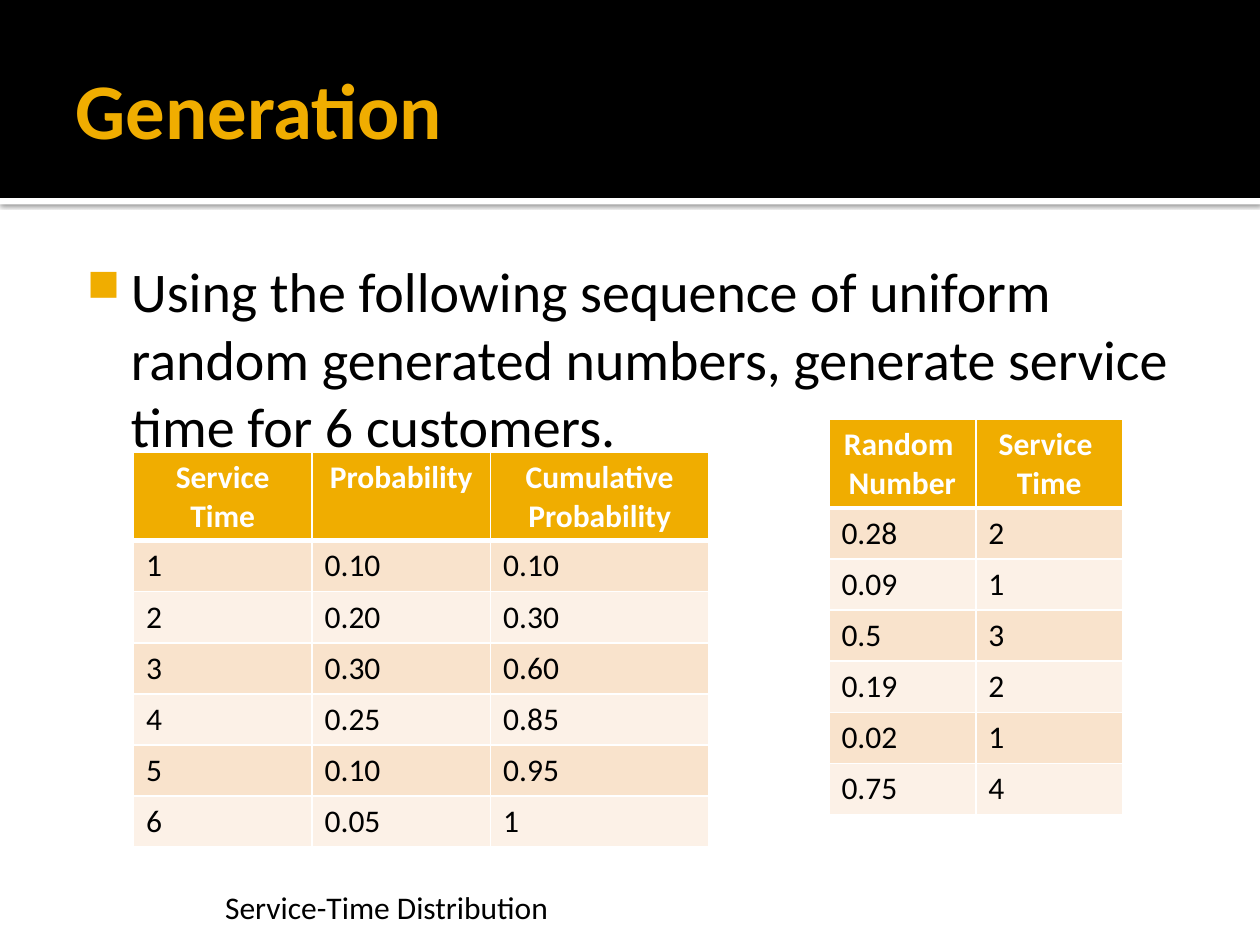
from lxml import etree
from pptx import Presentation
from pptx.dml.color import RGBColor
from pptx.enum import shapes, text
from pptx.oxml import ns, parse_xml
from pptx.util import Cm, Pt

COLORS = dict(gold="F0AD00", black="000000", white="FFFFFF",
              dark_band="F9E3CC", light_band="FCF1E7")
TITLE = "Generation"
BODY = ("Using the following sequence of uniform random generated numbers, "
        "generate service time for 6 customers.")
CAPTION = "Service-Time Distribution"
TABLES = [
    dict(left=16.71, top=8.46, widths=[2.96, 2.96], rows=[
        ("Random \nNumber", "Service \nTime"),
        ("0.28", "2"), ("0.09", "1"), ("0.5", "3"),
        ("0.19", "2"), ("0.02", "1"), ("0.75", "4")]),
    dict(left=2.69, top=9.12, widths=[3.6, 3.6, 4.4], rows=[
        ("Service\nTime", "Probability", "Cumulative\nProbability"),
        ("1", "0.10", "0.10"), ("2", "0.20", "0.30"), ("3", "0.30", "0.60"),
        ("4", "0.25", "0.85"), ("5", "0.10", "0.95"), ("6", "0.05", "1")]),
]
HEADER_HEIGHT, ROW_HEIGHT = 1.75, 1.03


def rgb(name):
    return RGBColor.from_string(COLORS[name])


def write(tf, content, size=18, color="black", bold=False, align=None):
    for i, line in enumerate(content.split("\n")):
        p = tf.add_paragraph() if i else tf.paragraphs[0]
        p.alignment = align
        r = p.add_run()
        r.text = line
        r.font.name, r.font.size, r.font.bold = "Calibri", Pt(size), bold
        r.font.color.rgb = rgb(color)


def add_box(left, top, width, height, margins=(0.25, 0.13, 0.25, 0.13)):
    tf = s.shapes.add_textbox(Cm(left), Cm(top), Cm(width), Cm(height)).text_frame
    tf.word_wrap = True
    tf.margin_left, tf.margin_top, tf.margin_right, tf.margin_bottom = map(Cm, margins)
    return tf


def add_band(top, height, color):
    sp = s.shapes.add_shape(shapes.MSO_SHAPE.RECTANGLE, 0, Cm(top), prs.slide_width, Cm(height))
    sp.shadow.inherit = False
    sp.fill.solid()
    sp.fill.fore_color.rgb = rgb(color)
    sp.line.fill.background()
    return sp


def add_shadow(sp):
    effects = sp._element.spPr.find(ns.qn("a:effectLst"))
    effects.append(parse_xml(
        f'<a:outerShdw {ns.nsdecls("a")} blurRad="{Pt(2.5)}" dist="{Pt(0.8)}" dir="5400000" '
        f'algn="tl" rotWithShape="0"><a:srgbClr val="{COLORS["black"]}">'
        '<a:alpha val="60000"/></a:srgbClr></a:outerShdw>'))


def add_bullet(p):
    pPr = p._p.get_or_add_pPr()
    pPr.set("marL", str(Cm(1.22)))
    pPr.set("indent", str(-Cm(0.89)))
    color = etree.SubElement(pPr, ns.qn("a:buClr"))
    etree.SubElement(color, ns.qn("a:srgbClr"), val=COLORS["gold"])
    etree.SubElement(pPr, ns.qn("a:buSzPct"), val="80000")
    etree.SubElement(pPr, ns.qn("a:buChar"), char="■")


def add_borders(cell, bottom):
    tcPr = cell._tc.get_or_add_tcPr()
    for i, (side, width) in enumerate(zip("LRTB", (1, 1, 1, bottom))):
        tcPr.insert(i, parse_xml(
            f'<a:ln{side} {ns.nsdecls("a")} w="{Pt(width)}"><a:solidFill>'
            f'<a:srgbClr val="{COLORS["white"]}"/></a:solidFill></a:ln{side}>'))


def add_grid(left, top, widths, rows):
    heights = [HEADER_HEIGHT] + [ROW_HEIGHT] * (len(rows) - 1)
    table = s.shapes.add_table(len(rows), len(widths), Cm(left), Cm(top),
                               Cm(sum(widths)), Cm(sum(heights))).table
    for column, width in zip(table.columns, widths):
        column.width = Cm(width)
    for i, (row, height) in enumerate(zip(rows, heights)):
        table.rows[i].height = Cm(height)
        fill = ("dark_band" if i % 2 else "light_band") if i else "gold"
        for j, value in enumerate(row):
            cell = table.cell(i, j)
            cell.fill.solid()
            cell.fill.fore_color.rgb = rgb(fill)
            if i:
                write(cell.text_frame, value)
            else:
                write(cell.text_frame, value, color="white", bold=True,
                      align=text.PP_ALIGN.CENTER)
            add_borders(cell, bottom=1 if i else 3)


prs = Presentation()
prs.slide_width, prs.slide_height = Cm(25.4), Cm(19.05)
s = prs.slides.add_slide(prs.slide_layouts[6])

add_shadow(add_band(3.99, 0.13, "white"))
add_band(0, 3.99, "black")

title = add_box(1.27, 0.43, 22.86, 3.48, (0.25, 0.13, 0.13, 0.13))
title.vertical_anchor = text.MSO_ANCHOR.MIDDLE
write(title, TITLE, size=45, color="gold", bold=True)

body = add_box(1.27, 4.93, 22.86, 12.85, (0.15, 0.25, 0.25, 0.13))
write(body, BODY, size=32)
add_bullet(body.paragraphs[0])

for grid in TABLES:
    add_grid(**grid)

write(add_box(4.29, 17.78, 7.62, 1.02), CAPTION)

prs.save("out.pptx")
